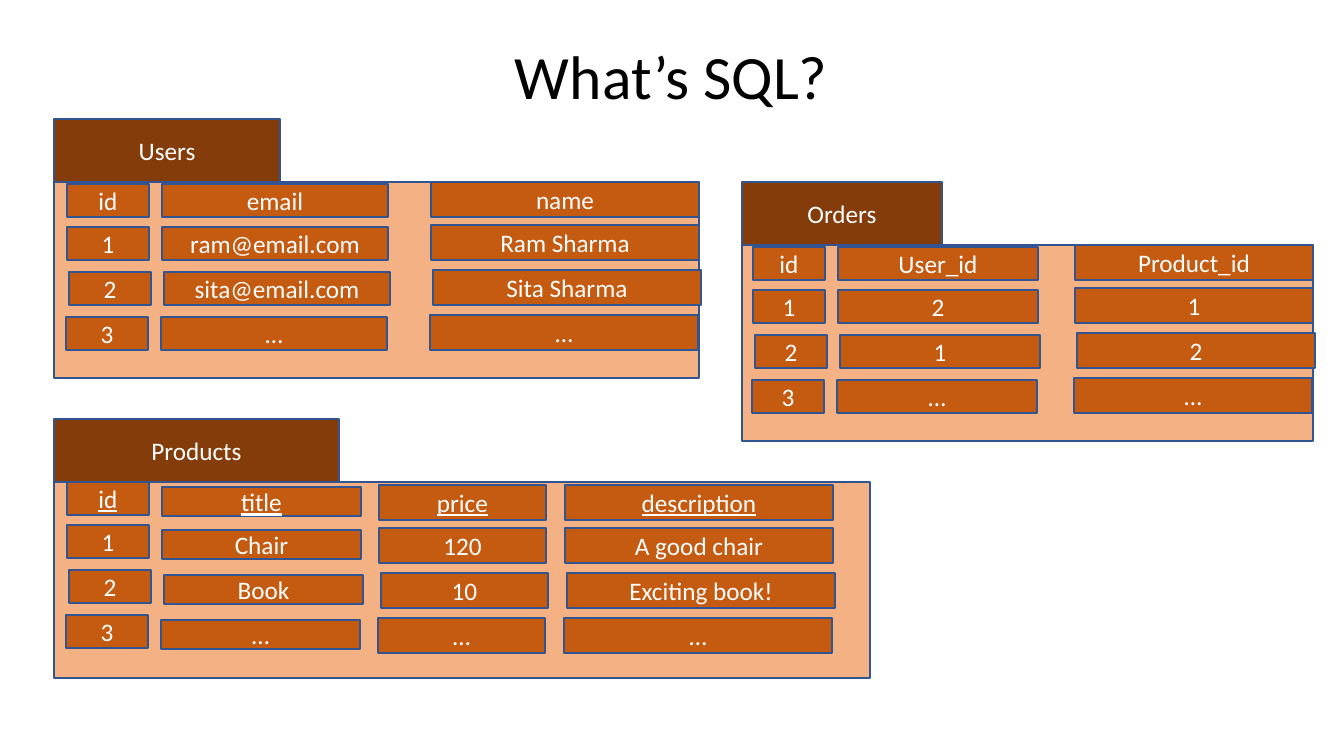
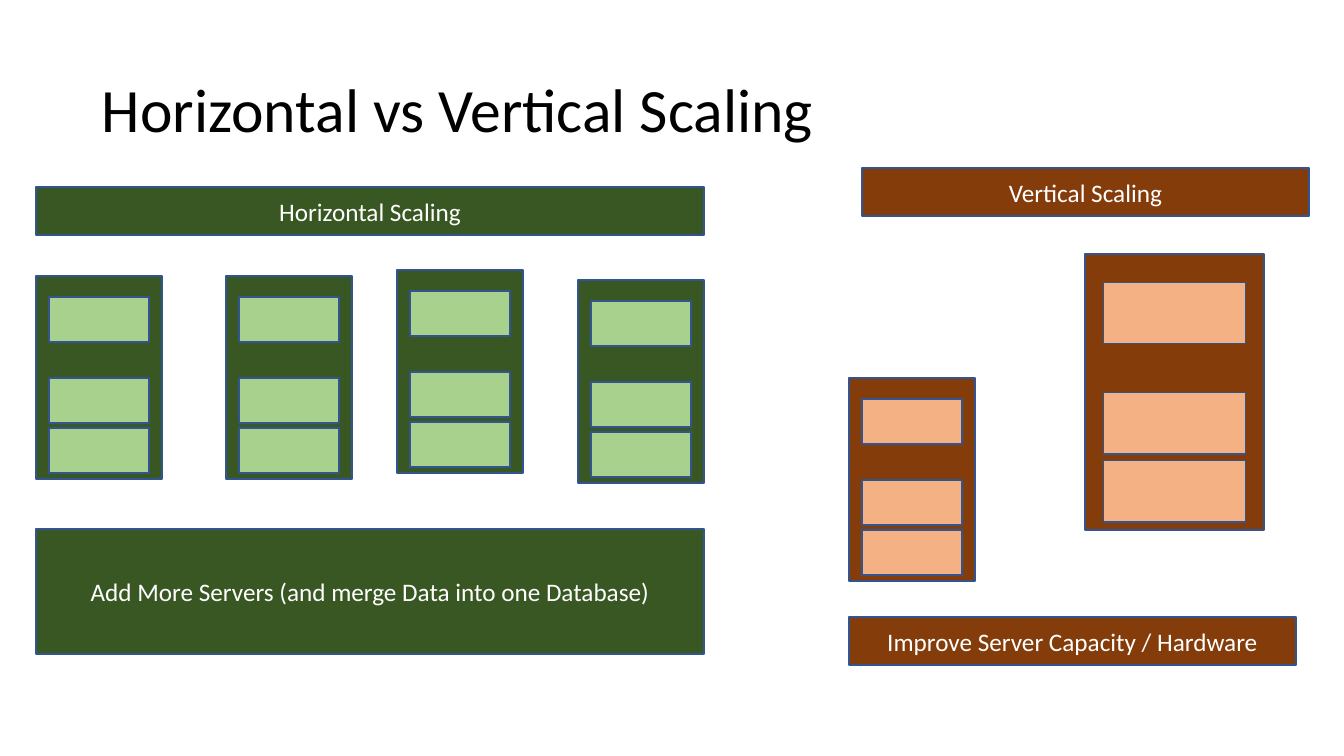
from dataclasses import dataclass

from pptx import Presentation
from pptx import util as u
from pptx.dml.color import RGBColor
from pptx.enum import shapes, text

SCALE = 914400 / 100.8


def px(n):
    """Turn pixels into EMU."""
    return u.Emu(round(n * SCALE))


@dataclass(frozen=True)
class Theme:
    """Colours, font and type sizes of the deck."""
    font: str = "Calibri"
    ink: str = "000000"
    white: str = "FFFFFF"
    line: str = "325491"
    brown: str = "843C0B"
    orange: str = "C55A11"
    peach: str = "F4B183"
    green: str = "385723"
    mint: str = "A9D18E"
    title: int = 44
    body: int = 18


THEME = Theme()


def write(tf, content, size=THEME.body, color=THEME.white,
          align=text.PP_ALIGN.CENTER, underline=None, spacing=None):
    """Write one vertically centred paragraph into a text frame."""
    tf.word_wrap = True
    tf.vertical_anchor = text.MSO_ANCHOR.MIDDLE
    p = tf.paragraphs[0]
    p.alignment = align
    p.line_spacing = spacing
    r = p.add_run()
    r.text = content
    r.font.name = THEME.font
    r.font.size = u.Pt(size)
    r.font.color.rgb = RGBColor.from_string(color)
    r.font.underline = underline


class Deck:
    """Holds the presentation and the slide being drawn."""

    def __init__(self):
        """Start an empty widescreen presentation."""
        self.prs = Presentation()
        self.prs.slide_width = px(1344)
        self.prs.slide_height = px(756)
        self.s = None

    def slide(self, title, height, align):
        """Add a blank slide with a title."""
        self.s = self.prs.slides.add_slide(self.prs.slide_layouts[6])
        sp = self.s.shapes.add_textbox(px(92), px(40), px(1159), px(height))
        write(sp.text_frame, title, size=THEME.title, color=THEME.ink,
              align=align, spacing=0.9)

    def box(self, x, y, w, h, fill, label=None, **fmt):
        """Draw an outlined rectangle with an optional label."""
        sp = self.s.shapes.add_shape(
            shapes.MSO_SHAPE.RECTANGLE, px(x), px(y), px(w), px(h))
        sp.shadow.inherit = False
        sp.fill.solid()
        sp.fill.fore_color.rgb = RGBColor.from_string(fill)
        sp.line.color.rgb = RGBColor.from_string(THEME.line)
        sp.line.width = u.Pt(1)
        if label:
            write(sp.text_frame, label, **fmt)

    def relation(self, name, x, y, w, tab_w, columns, rows, underline=None):
        """Draw a database table; a column is (dx, dy, width, height)."""
        self.box(x, y - 63, tab_w, 63, THEME.brown, name)
        self.box(x, y, w, 196, THEME.peach)
        row_offsets = [(0, 0), (0, 43), (2, 88), (-1, 133)]
        for i, ((row_dx, row_dy), row) in enumerate(zip(row_offsets, rows)):
            for (dx, dy, cell_w, cell_h), value in zip(columns, row):
                self.box(x + dx + row_dx, y + dy + row_dy, cell_w, cell_h,
                         THEME.orange, value,
                         underline=underline if i == 0 else None)

    def server(self, x, y, case, slot, kx=1, ky=1):
        """Draw a server with three slots, stretched by kx and ky."""
        self.box(x, y, 126 * kx, 203 * ky, case)
        for dy in (21, 102, 152):
            self.box(x + 13 * kx, y + dy * ky, 100 * kx, 45 * ky, slot)


def sql_slide(deck):
    """Three related tables."""
    deck.slide("What’s SQL?", 79, text.PP_ALIGN.CENTER)
    deck.relation(
        "Users", 54, 182, 645, 226,
        [(13, 2, 82, 33), (108, 2, 226, 33), (377, 0, 268, 35)],
        [("id", "email", "name"),
         ("1", "ram@email.com", "Ram Sharma"),
         ("2", "sita@email.com", "Sita Sharma"),
         ("3", "…", "…")])
    deck.relation(
        "Products", 54, 482, 816, 285,
        [(13, 0, 82, 33), (108, 5, 199, 29),
         (325, 3, 167, 35), (511, 3, 268, 35)],
        [("id", "title", "price", "description"),
         ("1", "Chair", "120", "A good chair"),
         ("2", "Book", "10", "Exciting book!"),
         ("3", "…", "…", "…")], underline=True)
    deck.relation(
        "Orders", 742, 245, 571, 200,
        [(11, 2, 72, 33), (96, 2, 200, 33), (333, 0, 238, 35)],
        [("id", "User_id", "Product_id"),
         ("1", "2", "1"),
         ("2", "1", "2"),
         ("3", "…", "…")])


def scaling_slide(deck):
    """Many equal servers beside one server that grows."""
    deck.slide("Horizontal vs Vertical Scaling", 146, text.PP_ALIGN.LEFT)
    for x, y in [(36, 276), (226, 276), (397, 270), (578, 280)]:
        deck.server(x, y, THEME.green, THEME.mint)
    deck.server(849, 378, THEME.brown, THEME.peach)
    deck.server(1085, 254, THEME.brown, THEME.peach, kx=1.42, ky=1.36)
    for x, y, w, h, fill, label in [
            (36, 187, 668, 48, THEME.green, "Horizontal Scaling"),
            (862, 168, 447, 48, THEME.brown, "Vertical Scaling"),
            (36, 529, 668, 125, THEME.green,
             "Add More Servers (and merge Data into one Database)"),
            (849, 617, 447, 48, THEME.brown,
             "Improve Server Capacity / Hardware")]:
        deck.box(x, y, w, h, fill, label)


def main():
    """Build and save the deck."""
    deck = Deck()
    sql_slide(deck)
    scaling_slide(deck)
    deck.prs.save("out.pptx")


main()
